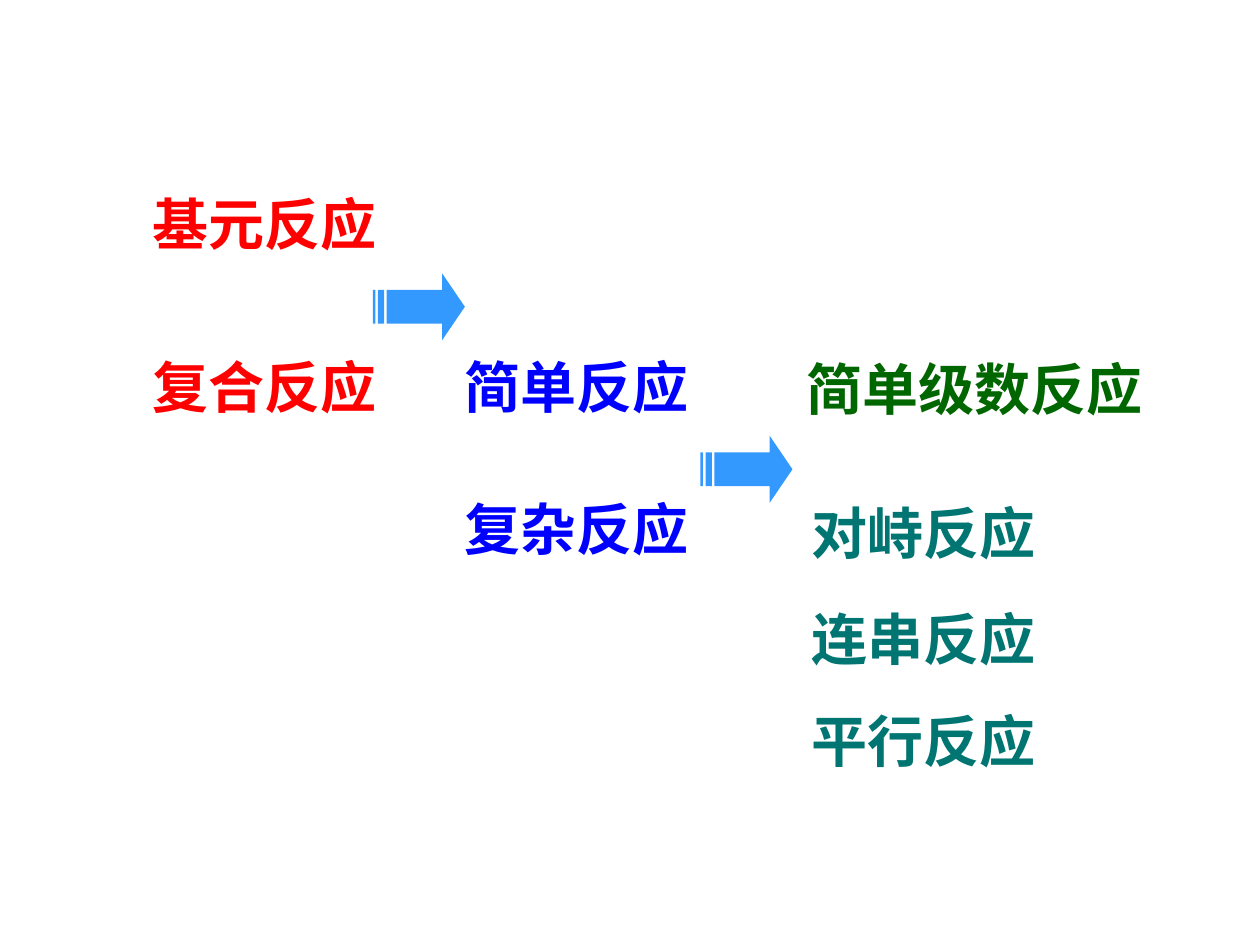
from pptx import Presentation
from pptx.dml.color import RGBColor
from pptx.enum.text import MSO_ANCHOR, MSO_AUTO_SIZE, PP_ALIGN
from pptx.util import Inches, Pt

RED = RGBColor(0xFF, 0x00, 0x00)
BLUE = RGBColor(0x00, 0x00, 0xFF)
GREEN = RGBColor(0x00, 0x66, 0x00)
TEAL = RGBColor(0x00, 0x75, 0x72)
ARROW_BLUE = RGBColor(0x33, 0x99, 0xFF)

LABEL_HEIGHT = 0.74
FRAME_FORMAT = {
    "word_wrap": True,
    "auto_size": MSO_AUTO_SIZE.SHAPE_TO_FIT_TEXT,
    "vertical_anchor": MSO_ANCHOR.MIDDLE,
}
PARAGRAPH_FORMAT = {"alignment": PP_ALIGN.JUSTIFY, "line_spacing": 1.2}
FONT_FORMAT = {"name": "Times New Roman", "size": Pt(32), "bold": True}

# text, left, top, width, colour
LABELS = [
    ("基元反应", 1.11, 1.35, 2.1, RED),
    ("复合反应", 1.11, 2.64, 2.1, RED),
    ("简单反应", 3.59, 2.64, 2.1, BLUE),
    ("复杂反应", 3.59, 3.77, 2.1, BLUE),
    ("对峙反应", 6.34, 3.8, 2.1, TEAL),
    ("连串反应", 6.34, 4.64, 2.1, TEAL),
    ("平行反应", 6.34, 5.45, 2.1, TEAL),
    ("简单级数反应", 6.3, 2.66, 2.97, GREEN),
]

ARROWS = [(2.96, 2.17), (5.56, 3.46)]
SHAFT_TOP, SHAFT_BOTTOM = 0.13, 0.4
HEAD_LEFT, ARROW_WIDTH, ARROW_HEIGHT = 0.55, 0.73, 0.53
SHAFT_LEFT = 0.11
STRIPES = [(0.04, 0.09), (0, 0.02)]


def apply_format(target, values):
    for name, value in values.items():
        setattr(target, name, value)


def add_label(page, text, left, top, width, colour):
    box = page.shapes.add_textbox(
        Inches(left), Inches(top), Inches(width), Inches(LABEL_HEIGHT))
    apply_format(box.text_frame, FRAME_FORMAT)
    para = box.text_frame.paragraphs[0]
    apply_format(para, PARAGRAPH_FORMAT)
    span = para.add_run()
    span.text = text
    apply_format(span.font, FONT_FORMAT)
    span.font.color.rgb = colour


def arrow_outlines():
    """Return the pointed body and its tail stripes, relative to the arrow's corner."""
    body = [
        (HEAD_LEFT, 0), (HEAD_LEFT, SHAFT_TOP),
        (SHAFT_LEFT, SHAFT_TOP), (SHAFT_LEFT, SHAFT_BOTTOM),
        (HEAD_LEFT, SHAFT_BOTTOM), (HEAD_LEFT, ARROW_HEIGHT),
        (ARROW_WIDTH, ARROW_HEIGHT / 2),
    ]
    stripes = [
        [(start, SHAFT_TOP), (start, SHAFT_BOTTOM),
         (end, SHAFT_BOTTOM), (end, SHAFT_TOP)]
        for start, end in STRIPES
    ]
    return [body, *stripes]


def add_striped_arrow(page, left, top):
    body, *stripes = [
        [(Inches(left + x), Inches(top + y)) for x, y in outline]
        for outline in arrow_outlines()
    ]
    builder = page.shapes.build_freeform(*body[0])
    builder.add_line_segments(body[1:], close=True)
    for stripe in stripes:
        builder.move_to(*stripe[0])
        builder.add_line_segments(stripe[1:], close=True)
    arrow = builder.convert_to_shape()
    arrow.shadow.inherit = False
    arrow.fill.solid()
    arrow.fill.fore_color.rgb = ARROW_BLUE
    arrow.line.fill.background()


def main():
    deck = Presentation()
    deck.slide_width, deck.slide_height = Inches(10), Inches(7.5)
    page = deck.slides.add_slide(deck.slide_layouts[6])
    for label in LABELS:
        add_label(page, *label)
    for corner in ARROWS:
        add_striped_arrow(page, *corner)
    deck.save("out.pptx")


if __name__ == "__main__":
    main()
